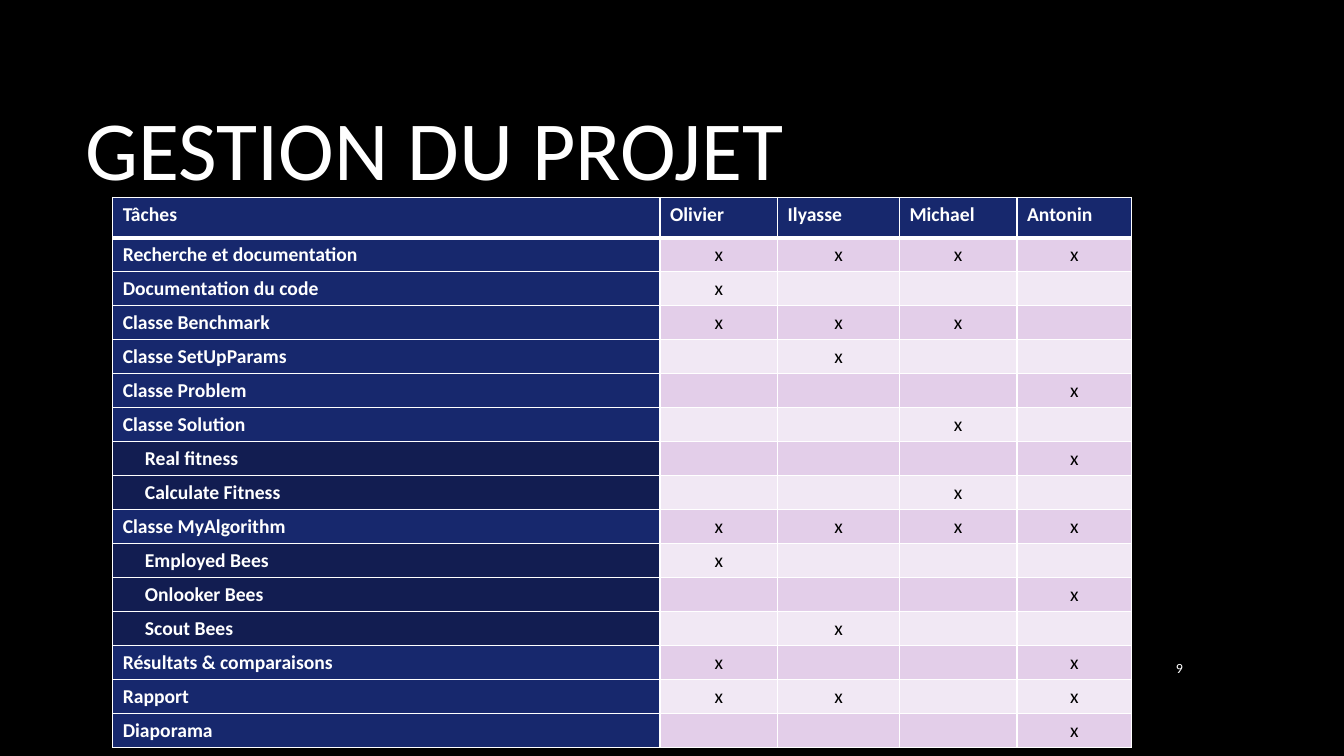
import pptx
import pptx.dml.color
import pptx.enum.text
import pptx.util
from dataclasses import dataclass
from lxml import etree
from pptx.oxml import ns

Pt = pptx.util.Pt
ALIGN = pptx.enum.text.PP_ALIGN
MIDDLE = pptx.enum.text.MSO_ANCHOR.MIDDLE


@dataclass(frozen=True)
class Theme:
    """Colours, font and type sizes of the slide."""
    font: str = "Calibri"
    background: str = "000000"
    light: str = "FFFFFF"
    dark: str = "000000"
    task: str = "17286D"
    subtask: str = "121D51"
    bands: tuple = ("E3CEE9", "F1E8F4")
    title_size: int = 60
    table_size: int = 14
    number_size: int = 10


THEME = Theme()
MEMBERS = ("Olivier", "Ilyasse", "Michael", "Antonin")
# Task, nesting level, members who worked on it (by initial)
TASKS = (
    ("Recherche et documentation", 0, "OIMA"),
    ("Documentation du code", 0, "O"),
    ("Classe Benchmark", 0, "OIM"),
    ("Classe SetUpParams", 0, "I"),
    ("Classe Problem", 0, "A"),
    ("Classe Solution", 0, "M"),
    ("Real fitness", 1, "A"),
    ("Calculate Fitness", 1, "M"),
    ("Classe MyAlgorithm", 0, "OIMA"),
    ("Employed Bees", 1, "O"),
    ("Onlooker Bees", 1, "A"),
    ("Scout Bees", 1, "I"),
    ("Résultats & comparaisons", 0, "OA"),
    ("Rapport", 0, "OIA"),
    ("Diaporama", 0, "A"),
)
COLUMN_WIDTHS = (391, 84, 87, 84, 82)
HEADER_HEIGHT, TASK_HEIGHT = 28.8, 24.3
SUBTASK_INDENT = 15.8


def rgb(colour):
    """Turn a hex string into a colour."""
    return pptx.dml.color.RGBColor.from_string(colour)


def write(frame, words, size, colour, align=ALIGN.LEFT, bold=False):
    """Put one formatted run in the first paragraph of a text frame."""
    paragraph = frame.paragraphs[0]
    paragraph.alignment = align
    run = paragraph.add_run()
    run.text = words
    run.font.name = THEME.font
    run.font.size = Pt(size)
    run.font.bold = bold
    run.font.color.rgb = rgb(colour)
    return paragraph


def style_cell(cell, colour, bottom=1):
    """Give a cell its white borders and its fill."""
    properties = cell._tc.get_or_add_tcPr()
    for side, width in (("L", 1), ("R", 1), ("T", 1), ("B", bottom)):
        line = etree.SubElement(properties, ns.qn(f"a:ln{side}"), w=str(Pt(width)))
        paint = etree.SubElement(line, ns.qn("a:solidFill"))
        etree.SubElement(paint, ns.qn("a:srgbClr"), val=THEME.light)
    cell.fill.solid()
    cell.fill.fore_color.rgb = rgb(colour)


def fill_header(table):
    """Write the heading row."""
    for column, heading in enumerate(("Tâches",) + MEMBERS):
        cell = table.cell(0, column)
        style_cell(cell, THEME.task, bottom=3)
        write(cell.text_frame, heading, THEME.table_size, THEME.light, bold=True)


def fill_task(table, row, task, level, workers):
    """Write one task and mark the members who worked on it."""
    task_cell = table.cell(row, 0)
    style_cell(task_cell, THEME.subtask if level else THEME.task)
    paragraph = write(task_cell.text_frame, task, THEME.table_size, THEME.light, bold=True)
    if level:
        paragraph._p.get_or_add_pPr().set("marL", str(Pt(SUBTASK_INDENT * level)))
    for column, member in enumerate(MEMBERS, start=1):
        cell = table.cell(row, column)
        style_cell(cell, THEME.bands[(row - 1) % 2])
        if member[0] in workers:
            write(cell.text_frame, "x", THEME.table_size, THEME.dark, ALIGN.CENTER)
        else:
            etree.SubElement(cell.text_frame.paragraphs[0]._p, ns.qn("a:endParaRPr"),
                             sz=str(THEME.table_size * 100))


def add_task_table(slide, left, top, width):
    """Place the table of tasks and members."""
    height = HEADER_HEIGHT + TASK_HEIGHT * len(TASKS)
    table = slide.shapes.add_table(len(TASKS) + 1, len(COLUMN_WIDTHS), Pt(left), Pt(top),
                                   Pt(width), Pt(height)).table
    for column, share in zip(table.columns, COLUMN_WIDTHS):
        column.width = Pt(width * share / sum(COLUMN_WIDTHS))
    for index, row in enumerate(table.rows):
        row.height = Pt(TASK_HEIGHT if index else HEADER_HEIGHT)
    fill_header(table)
    for row, (task, level, workers) in enumerate(TASKS, start=1):
        fill_task(table, row, task, level, workers)


def add_title(slide, left, top, width, height):
    """Place the slide title."""
    title = slide.shapes.title
    title.left, title.top, title.width, title.height = map(Pt, (left, top, width, height))
    frame = title.text_frame
    frame.auto_size = pptx.enum.text.MSO_AUTO_SIZE.NONE
    frame.vertical_anchor = MIDDLE
    write(frame, "GESTION DU PROJET", THEME.title_size, THEME.light)


def add_page_number(slide, left, top, width, height):
    """Place the page number."""
    frame = slide.shapes.add_textbox(*map(Pt, (left, top, width, height))).text_frame
    frame.word_wrap = True
    frame.vertical_anchor = MIDDLE
    write(frame, "9", THEME.number_size, THEME.light, ALIGN.RIGHT)


def build_project_slide(deck):
    """Build the project management slide."""
    slide = deck.slides.add_slide(deck.slide_layouts.get_by_name("Title Only"))
    slide.background.fill.solid()
    slide.background.fill.fore_color.rgb = rgb(THEME.background)
    add_title(slide, 54, 48, 798, 114.5)
    add_task_table(slide, 80.5, 141, 728)
    add_page_number(slide, 808.5, 462, 43.5, 29.5)


deck = pptx.Presentation()
deck.slide_width, deck.slide_height = Pt(960), Pt(540)
build_project_slide(deck)
deck.save("out.pptx")
